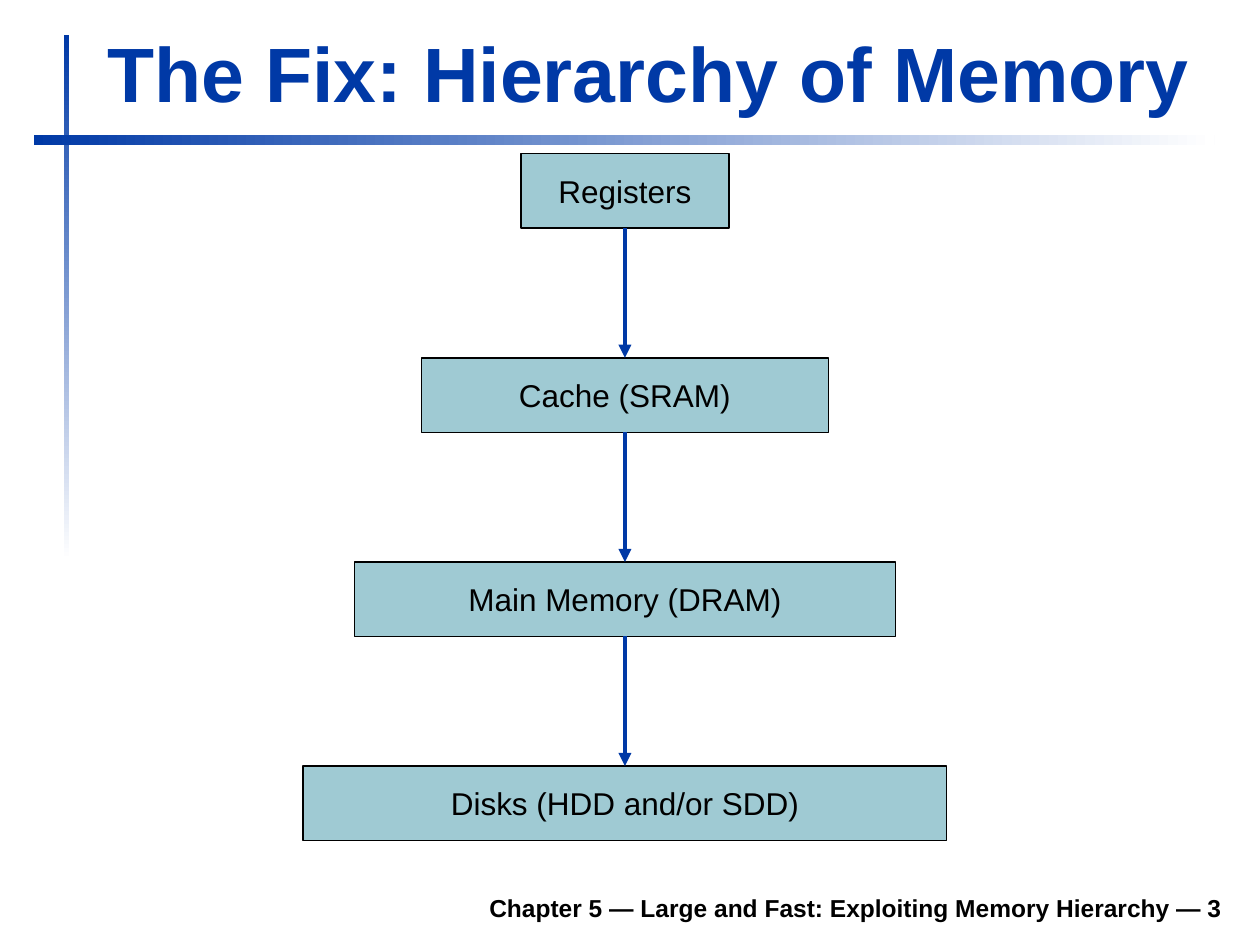
import pptx
import pptx.dml.color
import pptx.enum.shapes
import pptx.enum.text
import pptx.oxml
import pptx.oxml.ns
import pptx.util

Inches = pptx.util.Inches
RGBColor = pptx.dml.color.RGBColor
Align = pptx.enum.text.PP_ALIGN
Anchor = pptx.enum.text.MSO_ANCHOR
Shape = pptx.enum.shapes.MSO_SHAPE

BLUE = RGBColor(0x00, 0x39, 0xA6)
TEAL = RGBColor(0x9F, 0xCA, 0xD3)
BLACK = RGBColor(0x00, 0x00, 0x00)
WHITE = RGBColor(0xFF, 0xFF, 0xFF)

CENTER = 4.96
LEVEL_TOP = 1.22
LEVEL_STEP = 1.62
LEVEL_HEIGHT = 0.59
LEVELS = [
    ("Registers", 1.65),
    ("Cache (SRAM)", 3.23),
    ("Main Memory (DRAM)", 4.29),
    ("Disks (HDD and/or SDD)", 5.11),
]


def write(frame, text, size=18, color=BLACK, bold=False, align=Align.CENTER, anchor=Anchor.MIDDLE):
    """Put one formatted paragraph into a text frame."""
    frame.word_wrap = True
    frame.vertical_anchor = anchor
    para = frame.paragraphs[0]
    para.alignment = align
    span = para.add_run()
    span.text = text
    span.font.name = "Arial"
    span.font.size = pptx.util.Pt(size)
    span.font.bold = bold
    span.font.color.rgb = color


class MemoryPage:
    """Hold the slide and draw its elements in one style."""

    def __init__(self, page):
        """Keep the slide to draw on."""
        self.page = page

    def title(self, text, left, top, width, height):
        """Place and fill the title placeholder."""
        box = self.page.shapes.title
        box.left, box.top = Inches(left), Inches(top)
        box.width, box.height = Inches(width), Inches(height)
        write(box.text_frame, text, size=44, color=BLUE, bold=True, align=Align.LEFT, anchor=Anchor.BOTTOM)
        box.text_frame.auto_size = pptx.enum.text.MSO_AUTO_SIZE.SHAPE_TO_FIT_TEXT

    def footer(self, text, left, top, width, height):
        """Add the right-aligned footer line."""
        box = self.page.shapes.add_textbox(Inches(left), Inches(top), Inches(width), Inches(height))
        write(box.text_frame, text, size=14, bold=True, align=Align.RIGHT, anchor=Anchor.BOTTOM)

    def rectangle(self, left, top, width, height):
        """Add a rectangle without shadow."""
        box = self.page.shapes.add_shape(
            Shape.RECTANGLE, Inches(left), Inches(top), Inches(width), Inches(height))
        box.shadow.inherit = False
        return box

    def fading_bar(self, left, top, width, height, angle):
        """Add a bar that fades from blue to white."""
        bar = self.rectangle(left, top, width, height)
        bar.line.fill.background()
        bar.fill.gradient()
        bar.fill.gradient_angle = angle
        for stop, color in zip(bar.fill.gradient_stops, (BLUE, WHITE)):
            stop.color.rgb = color

    def level(self, text, top, width):
        """Add one centred memory level."""
        box = self.rectangle(CENTER - width / 2, top, width, LEVEL_HEIGHT)
        box.fill.solid()
        box.fill.fore_color.rgb = TEAL
        box.line.color.rgb = BLACK
        box.line.width = pptx.util.Pt(0.75)
        write(box.text_frame, text)
        return box

    def arrow(self, upper, lower):
        """Join the bottom of one level to the top of the next."""
        line = self.page.shapes.add_connector(pptx.enum.shapes.MSO_CONNECTOR.STRAIGHT, 0, 0, 0, 0)
        line.begin_connect(upper, 2)
        line.end_connect(lower, 0)
        line.line.color.rgb = BLUE
        line.line.width = pptx.util.Pt(2.5)
        head = pptx.oxml.parse_xml(f'<a:tailEnd {pptx.oxml.ns.nsdecls("a")} type="triangle"/>')
        line.line._get_or_add_ln().append(head)
        effects = pptx.oxml.parse_xml(f'<a:effectLst {pptx.oxml.ns.nsdecls("a")}/>')
        line._element.spPr.append(effects)


def main():
    """Build the memory hierarchy slide."""
    deck = pptx.Presentation()
    deck.slide_width, deck.slide_height = Inches(10), Inches(7.5)
    page = MemoryPage(deck.slides.add_slide(deck.slide_layouts[5]))
    page.fading_bar(0.51, 0.28, 0.04, 4.17, angle=270)
    page.fading_bar(0.27, 1.07, 9.37, 0.08, angle=0)
    page.title("The Fix: Hierarchy of Memory", 0.75, 0.16, 9.03, 0.83)
    page.footer("Chapter 5 — Large and Fast: Exploiting Memory Hierarchy — 3", 1.85, 6.98, 7.95, 0.39)
    boxes = [
        page.level(text, LEVEL_TOP + index * LEVEL_STEP, width)
        for index, (text, width) in enumerate(LEVELS)
    ]
    for upper, lower in zip(boxes, boxes[1:]):
        page.arrow(upper, lower)
    deck.save("out.pptx")


if __name__ == "__main__":
    main()
